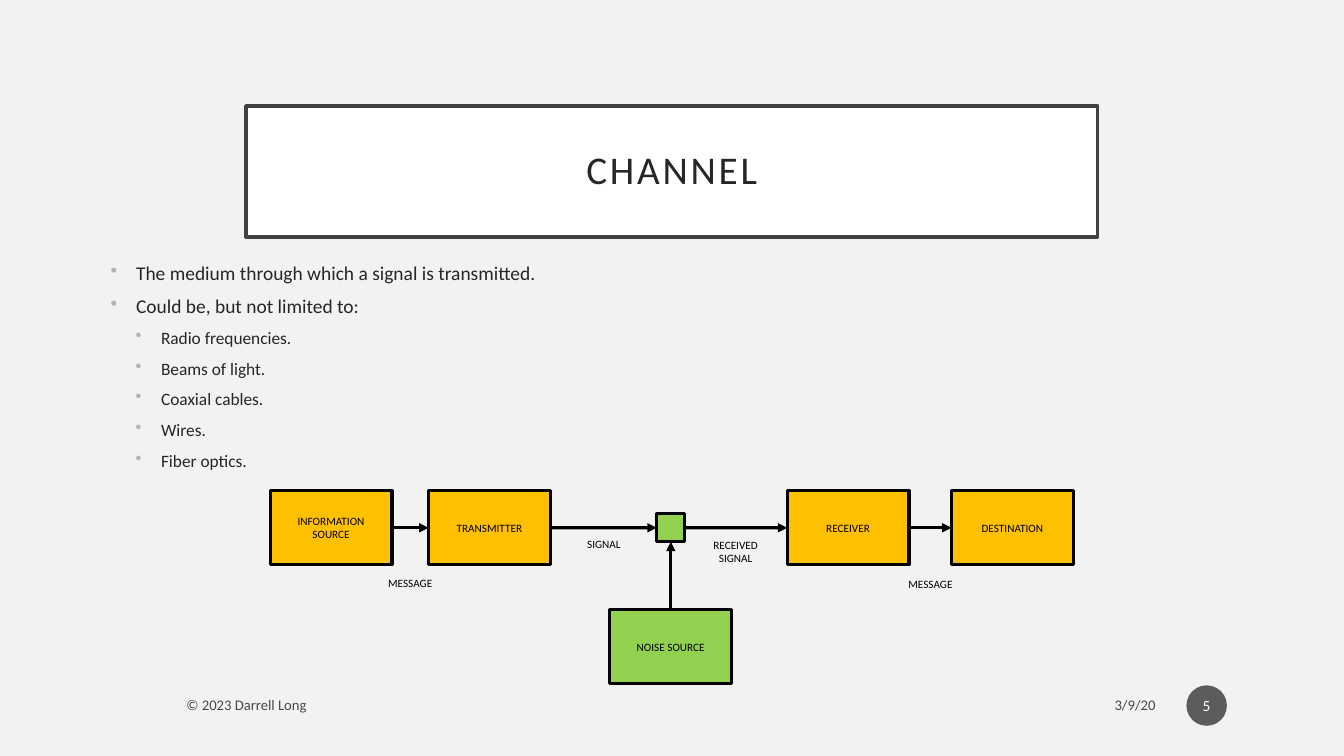
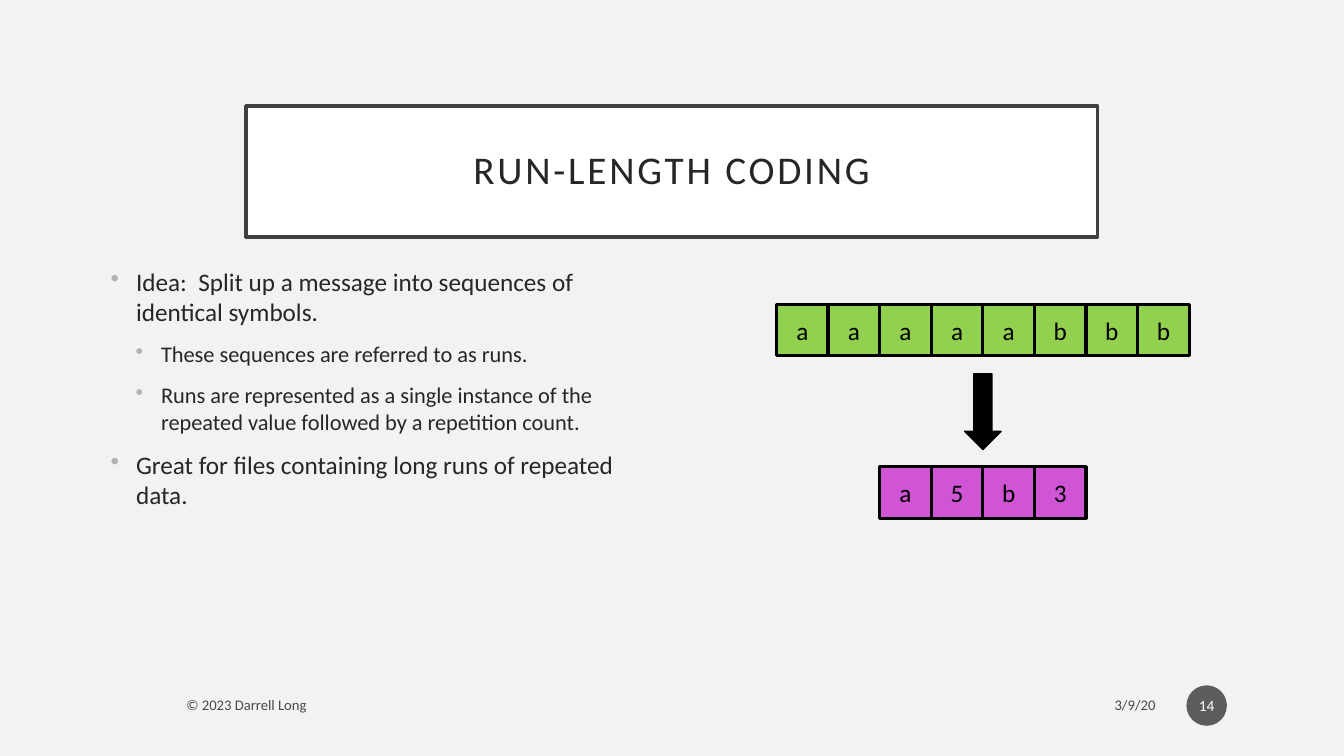
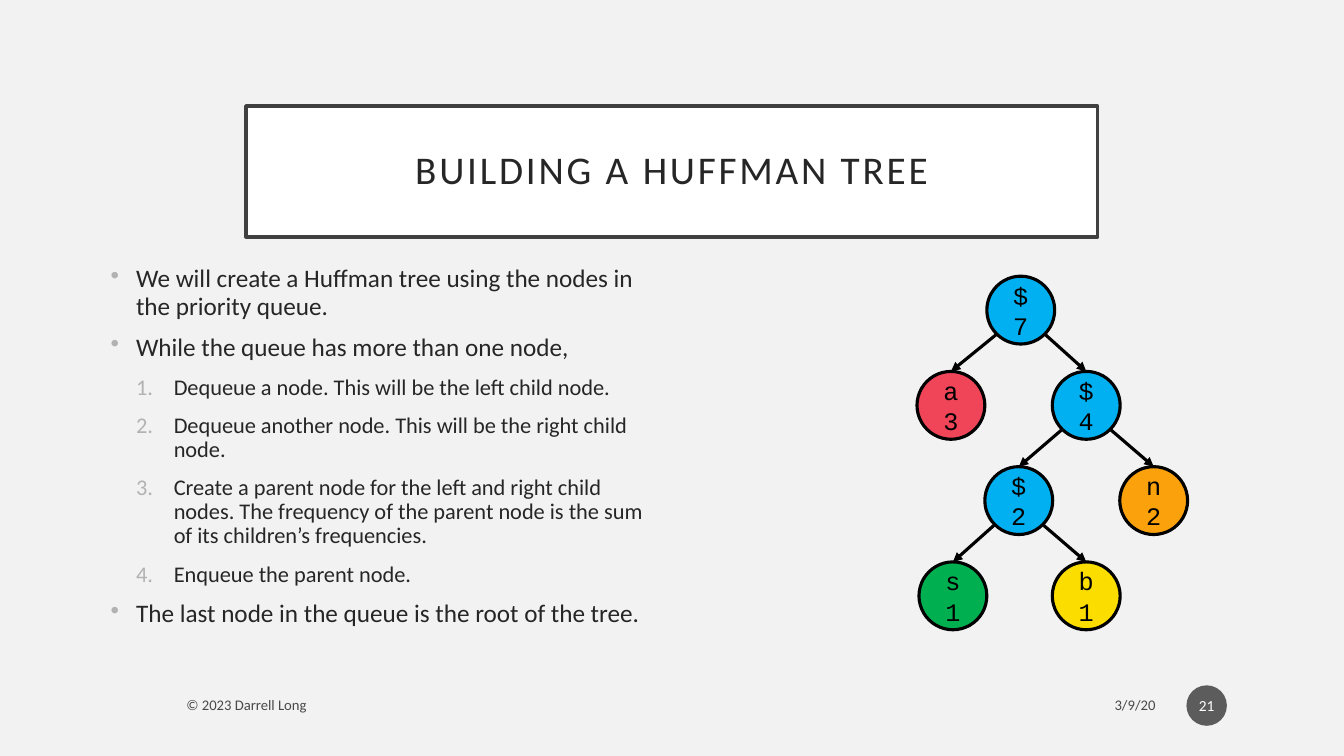
from math import sqrt
from pptx import Presentation
from pptx.util import Cm, Pt
from pptx.dml.color import RGBColor as Rgb
from pptx.enum.shapes import MSO_SHAPE as Shape, MSO_CONNECTOR as Line
from pptx.enum.text import MSO_ANCHOR as Anchor, MSO_AUTO_SIZE as Fit, PP_ALIGN as Align
from pptx.oxml.ns import qn
from lxml.etree import SubElement as Sub

HUES = {
    "page": "F2F2F2", "white": "FFFFFF", "black": "000000", "frame": "404040",
    "ink": "262626", "mark": "B2B2B2", "disc": "1D1D1D", "gold": "FFC000",
    "lime": "92D050", "pink": "D055D5", "red": "F04458", "orange": "FAA10C",
    "yellow": "FBDE00", "green": "00B050", "blue": "00B0F0",
}
FONT, MONO = "Calibri", "Courier New"
TOP, LEFT, MID, RIGHT = 0, 1, 2, 3  # connection sites of a box

# Outline levels: left margin and hanging indent in cm, mark
LEVELS = [(0.64, 0.64, "•"), (1.27, 0.64, "•"), (1.59, 0.95, "1.")]


def hue(name):
    return Rgb.from_string(HUES[name])


# Shared helpers
def style(shape, size, tint="black", align=Align.CENTER, anchor=Anchor.MIDDLE, font=FONT):
    frame = shape.text_frame
    frame.word_wrap = True
    frame.vertical_anchor = anchor
    for para in frame.paragraphs:
        para.alignment = align
        for run in para.runs:
            run.font.size = Pt(size)
            run.font.name = font
            run.font.color.rgb = hue(tint)


def fade(shape):
    """Make the first colour of a shape 70 % opaque."""
    tint = next(shape.element.iter(qn("a:srgbClr")))
    Sub(tint, qn("a:alpha")).set("val", "70000")


def draw(slide, kind, x, y, wide, high, fill, weight=2.25):
    shape = slide.shapes.add_shape(kind, Cm(x), Cm(y), Cm(wide), Cm(high))
    shape.shadow.inherit = False
    shape.fill.solid()
    shape.fill.fore_color.rgb = hue(fill)
    if weight:
        shape.line.color.rgb = hue("black")
        shape.line.width = Pt(weight)
    else:
        shape.line.fill.background()
    return shape


def label(slide, text, x, y, wide, high, size, align=Align.CENTER, anchor=Anchor.TOP):
    box = slide.shapes.add_textbox(Cm(x), Cm(y), Cm(wide), Cm(high))
    box.text_frame.text = text
    style(box, size, align=align, anchor=anchor)
    return box


def arrow(slide, x, y, goal, site):
    """Draw an arrow from a point to a connection site of the goal."""
    line = slide.shapes.add_connector(Line.STRAIGHT, x, y, x, y)
    line.end_connect(goal, site)
    line.line.color.rgb = hue("black")
    line.line.width = Pt(2.25)
    Sub(line.line._get_or_add_ln(), qn("a:tailEnd")).set("type", "triangle")
    Sub(line.element.spPr, qn("a:effectLst"))
    return line


def start(deck, title, number):
    """Add a slide with its framed title and footer."""
    slide = deck.slides.add_slide(deck.slide_layouts[5])
    head = slide.shapes.title
    head.left, head.top, head.width, head.height = Cm(6.2), Cm(2.67), Cm(21.46), Cm(3.3)
    head.fill.solid()
    head.fill.fore_color.rgb = hue("white")
    head.line.color.rgb = hue("frame")
    head.line.width = Pt(2.5)
    frame = head.text_frame
    frame.text = title
    frame.auto_size = Fit.NONE
    frame.margin_left = frame.margin_right = Cm(0.51)
    frame.margin_top = frame.margin_bottom = Cm(0.51)
    style(head, 28, "ink")
    para = frame.paragraphs[0]
    para.line_spacing = 0.9
    para.runs[0]._r.get_or_add_rPr().set("spc", "200")

    # Footer
    for text, x, wide, align in (("3/9/20", 21.72, 7.65, Align.RIGHT),
                                 ("© 2023 Darrell Long", 4.45, 16.38, Align.LEFT)):
        fade(label(slide, text, x, 17.32, wide, 0.89, 10.5, align, Anchor.MIDDLE))
    disc = draw(slide, Shape.OVAL, 29.9, 17.27, 1.02, 1.02, "disc", 0)
    fade(disc)
    disc.text_frame.text = str(number)
    disc.text_frame.margin_left = disc.text_frame.margin_right = Cm(0.05)
    style(disc, 11, "white")
    return slide


def outline(slide, items, wide, high, sizes, lead):
    """Write (level, text) items as a marked list."""
    box = slide.shapes.add_textbox(Cm(2.54), Cm(6.58), Cm(wide), Cm(high))
    frame = box.text_frame
    frame.word_wrap = True
    for i, (level, text) in enumerate(items):
        para = frame.add_paragraph() if i else frame.paragraphs[0]
        para.text = text
        para.level = min(level, 1)
        margin, hang, mark = LEVELS[level]
        props = para._p.get_or_add_pPr()
        props.set("marL", str(Cm(margin)))
        props.set("indent", str(-Cm(hang)))
        Sub(Sub(props, qn("a:buClr")), qn("a:srgbClr")).set("val", HUES["mark"])
        if mark == "•":
            Sub(props, qn("a:buChar")).set("char", mark)
        else:
            Sub(props, qn("a:buAutoNum")).set("type", "arabicPeriod")
        para.line_spacing = lead
        para.space_before = Pt(10 if i else 0)
        font = para.runs[0].font
        font.size, font.name = Pt(sizes[para.level]), FONT
        font.color.rgb = hue("ink")


# Slide content
def flow(slide):
    """Draw the path of a message from source to destination."""
    def block(text, x, y, fill):
        box = draw(slide, Shape.RECTANGLE, x, y, 3.07, 1.86, fill)
        box.text_frame.text = text
        style(box, 8)
        return box

    names = ("INFORMATION\nSOURCE", "TRANSMITTER", "RECEIVER", "DESTINATION")
    spots = (6.81, 10.8, 19.84, 23.98)
    source, sender, taker, goal = [block(name, x, 12.37, "gold")
                                   for name, x in zip(names, spots)]
    noise = block("NOISE SOURCE", 15.37, 15.37, "lime")
    mixer = draw(slide, Shape.RECTANGLE, 16.55, 12.95, 0.71, 0.7, "lime")

    chain = (source, sender, mixer, taker, goal)
    links = [(a, RIGHT, b, LEFT) for a, b in zip(chain, chain[1:])]
    for a, out, b, into in links + [(noise, TOP, mixer, MID)]:
        arrow(slide, a.left, a.top, b, into).begin_connect(a, out)

    for text, x, y in (("MESSAGE", 9.22, 14.4), ("MESSAGE", 22.33, 14.43),
                       ("SIGNAL", 14.1, 13.41), ("RECEIVED\nSIGNAL", 17.42, 13.44)):
        label(slide, text, x, y, 2.24, 0.69, 8)


def cells(slide, signs, y, fill):
    """Draw a centred row of one-sign cells."""
    side, centre = 1.3, 24.77
    for i, sign in enumerate(signs):
        x = centre + (i - len(signs) / 2) * side
        cell = draw(slide, Shape.RECTANGLE, x, y, side, side, fill)
        cell.text_frame.text = sign
        style(cell, 18)


def tree(slide):
    """Draw the finished tree, each node below its parent."""
    nodes = {  # text, left, row, fill, parent
        "root": ("$ 7", 24.87, 0, "blue", None),
        "a": ("a 3", 23.11, 1, "red", "root"),
        "four": ("$ 4", 26.52, 1, "blue", "root"),
        "two": ("$ 2", 24.82, 2, "blue", "four"),
        "n": ("n 2", 28.22, 2, "orange", "four"),
        "s": ("s 1", 23.16, 3, "green", "two"),
        "b": ("b 1", 26.52, 3, "yellow", "two"),
    }
    size, made = 1.71, {}
    reach = Cm(size / 2 / sqrt(2))
    for key, (text, x, row, fill, above) in nodes.items():
        node = made[key] = draw(slide, Shape.OVAL, x, 6.96 + 2.4 * row, size, size, fill)
        node.text_frame.text = text
        style(node, 18, font=MONO)
        if above:
            top = made[above]
            side = -reach if node.left < top.left else reach
            arrow(slide, top.left + top.width // 2 + side,
                  top.top + top.height // 2 + reach, node, TOP)


def main():
    deck = Presentation()
    deck.slide_width, deck.slide_height = Cm(33.87), Cm(19.05)
    back = deck.slide_master.background.fill
    back.solid()
    back.fore_color.rgb = hue("page")

    # Channel
    slide = start(deck, "CHANNEL", 5)
    outline(slide, [
        (0, "The medium through which a signal is transmitted."),
        (0, "Could be, but not limited to:"),
        (1, "Radio frequencies."),
        (1, "Beams of light."),
        (1, "Coaxial cables."),
        (1, "Wires."),
        (1, "Fiber optics."),
    ], 28.78, 5.59, (13.9, 12.4), 0.8)
    flow(slide)

    # Run-length coding
    slide = start(deck, "RUN-LENGTH CODING", 14)
    outline(slide, [
        (0, "Idea:  Split up a message into sequences of identical symbols."),
        (1, "These sequences are referred to as runs."),
        (1, "Runs are represented as a single instance of the repeated value "
            "followed by a repetition count."),
        (0, "Great for files containing long runs of repeated data."),
    ], 14.4, 9.5, (18, 16), 1.0)
    cells(slide, "aaaaabbb", 7.67, "lime")
    cells(slide, "a5b3", 11.76, "pink")
    draw(slide, Shape.DOWN_ARROW, 24.31, 9.42, 0.92, 1.91, "black", 1)

    # Huffman tree
    slide = start(deck, "BUILDING A HUFFMAN TREE", 21)
    outline(slide, [
        (0, "We will create a Huffman tree using the nodes in the priority queue."),
        (0, "While the queue has more than one node,"),
        (2, "Dequeue a node. This will be the left child node."),
        (2, "Dequeue another node. This will be the right child node."),
        (2, "Create a parent node for the left and right child nodes. The frequency "
            "of the parent node is the sum of its children’s frequencies."),
        (2, "Enqueue the parent node."),
        (0, "The last node in the queue is the root of the tree."),
    ], 14.4, 9.5, (18, 16), 0.9)
    tree(slide)

    deck.save("out.pptx")


if __name__ == "__main__":
    main()
